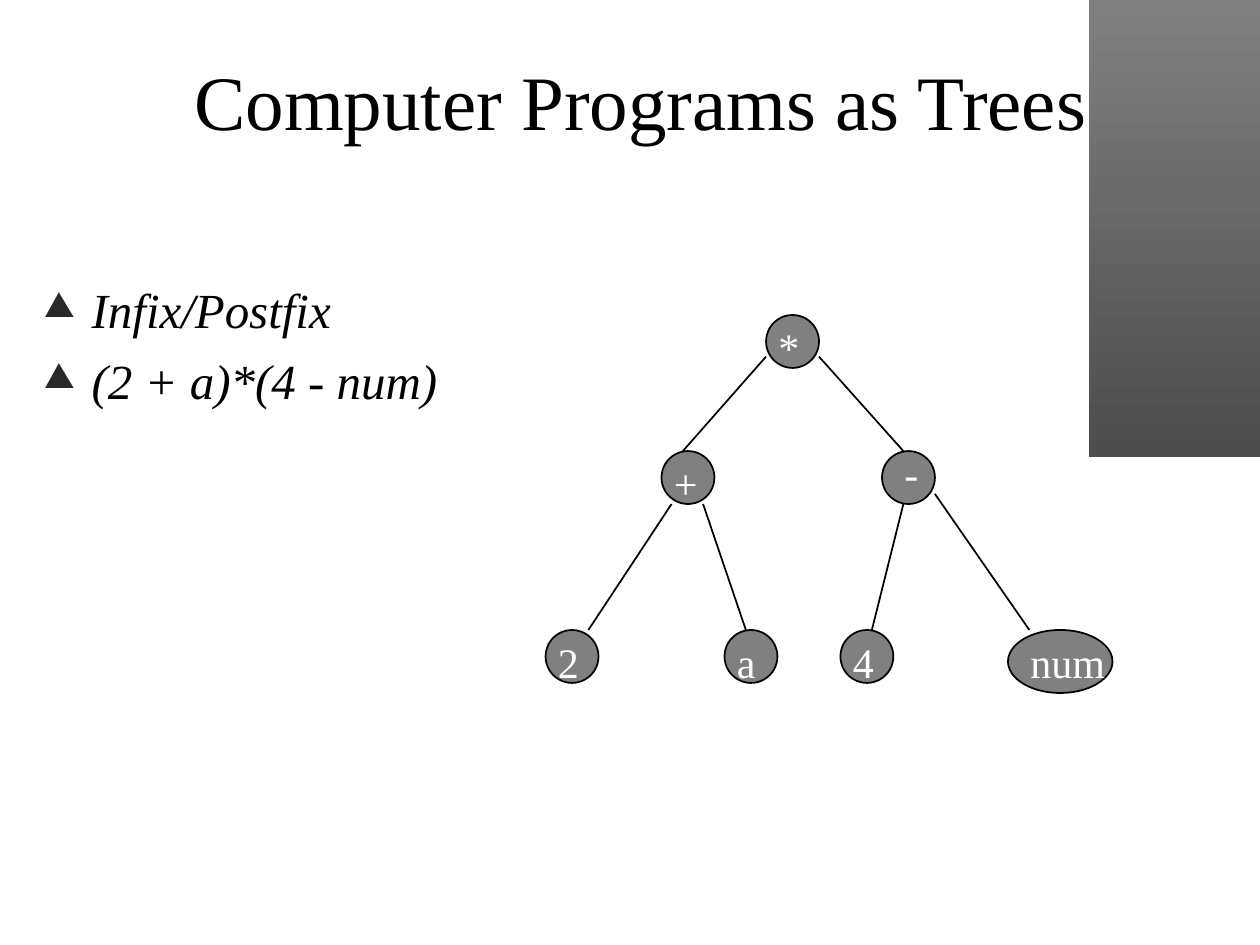
from pptx import Presentation
from pptx.dml.color import RGBColor
from pptx.enum.shapes import MSO_CONNECTOR, MSO_SHAPE
from pptx.enum.text import MSO_ANCHOR, PP_ALIGN
from pptx.oxml.ns import qn
from pptx.util import Inches, Pt
from lxml.etree import SubElement

TITLE = "Computer Programs as Trees"
NOTATIONS = ["Infix/Postfix", "(2 + a)*(4 - num)"]

ROOT, OPERATORS, LEAVES = 2.5, 3.58, 5
ROUND, WIDE = (0.42, 0.42), (0.83, 0.5)
LABEL = (0.75, 0.5)
NODES = [
    ("*", (6.08, ROOT), ROUND, (0, 0), LABEL),
    ("+", (5.25, OPERATORS), ROUND, (0, 0), LABEL),
    ("-", (7, OPERATORS), ROUND, (0.08, -0.08), LABEL),
    ("2", (4.33, LEAVES), ROUND, (0, 0), LABEL),
    ("a", (5.75, LEAVES), ROUND, (0, 0), LABEL),
    ("4", (6.67, LEAVES), ROUND, (0, 0), LABEL),
    ("num", (8, LEAVES), WIDE, (0.08, 0), (0.92, 0.5)),
]
BRANCHES = [
    ((6.08, 2.83), (5.42, OPERATORS)),
    ((6.5, 2.83), (7.17, OPERATORS)),
    ((5.33, 4), (4.67, LEAVES)),
    ((5.58, 4), (5.92, LEAVES)),
    ((7.17, 4), (6.92, LEAVES)),
    ((7.42, 3.92), (8.17, LEAVES)),
]

THEME = {
    "font": "Times New Roman",
    "ink": RGBColor(0, 0, 0),
    "node": RGBColor(0x80, 0x80, 0x80),
    "band_end": RGBColor(0x4D, 0x4D, 0x4D),
    "label": RGBColor(0xFF, 0xFF, 0xFF),
    "bullet": "292929",
    "bullet_scale": "70000",
    "title_size": 44,
    "body_size": 28,
    "label_size": 24,
    "line": 1,
}


def lengths(*values):
    return [Inches(value) for value in values]


def style(paragraph, size, color, italic=False):
    for run in paragraph.runs:
        run.font.name = THEME["font"]
        run.font.size = Pt(size)
        run.font.color.rgb = color
        run.font.italic = italic


def add_band(slide):
    band = slide.shapes.add_shape(MSO_SHAPE.RECTANGLE, *lengths(8.64, 0, 1.36, 3.63))
    band.shadow.inherit = False
    band.line.fill.background()
    band.fill.gradient()
    band.fill.gradient_angle = 270
    for stop, color in zip(band.fill.gradient_stops, (THEME["node"], THEME["band_end"])):
        stop.color.rgb = color
    slide.shapes._spTree.insert(2, band._element)


def add_title(slide):
    title = slide.shapes.title
    title.left, title.top, title.width, title.height = lengths(0.17, 0.17, 9.83, 1.25)
    title.text_frame.text = TITLE
    title.text_frame.vertical_anchor = MSO_ANCHOR.MIDDLE
    heading = title.text_frame.paragraphs[0]
    heading.alignment = PP_ALIGN.CENTER
    style(heading, THEME["title_size"], THEME["ink"])


def add_notations(slide):
    frame = slide.shapes.add_textbox(*lengths(0.25, 2.17, 3.96, 2)).text_frame
    frame.word_wrap = True
    frame.text = "\n".join(NOTATIONS)
    for notation in frame.paragraphs:
        notation.space_after = Pt(7)
        style(notation, THEME["body_size"], THEME["ink"], italic=True)
        properties = notation._p.get_or_add_pPr()
        properties.set("marL", str(Inches(0.38)))
        properties.set("indent", str(-Inches(0.38)))
        bullet_color = SubElement(properties, qn("a:buClr"))
        SubElement(bullet_color, qn("a:srgbClr"), val=THEME["bullet"])
        SubElement(properties, qn("a:buSzPct"), val=THEME["bullet_scale"])
        SubElement(properties, qn("a:buChar"), char="▲")


def add_branch(slide, start, end):
    branch = slide.shapes.add_connector(MSO_CONNECTOR.STRAIGHT, *lengths(*start, *end))
    branch.line.color.rgb = THEME["ink"]
    branch.line.width = Pt(THEME["line"])
    SubElement(branch._element.spPr, qn("a:effectLst"))


def add_node(slide, place, size):
    node = slide.shapes.add_shape(MSO_SHAPE.OVAL, *lengths(*place, *size))
    node.shadow.inherit = False
    node.fill.solid()
    node.fill.fore_color.rgb = THEME["node"]
    node.line.color.rgb = THEME["ink"]
    node.line.width = Pt(THEME["line"])


def add_label(slide, symbol, place, shift, size):
    left, top = (start + offset for start, offset in zip(place, shift))
    frame = slide.shapes.add_textbox(*lengths(left, top, *size)).text_frame
    frame.word_wrap = True
    frame.text = symbol
    style(frame.paragraphs[0], THEME["label_size"], THEME["label"])


def main():
    deck = Presentation()
    deck.slide_width, deck.slide_height = lengths(10, 7.5)
    slide = deck.slides.add_slide(deck.slide_layouts[5])
    add_band(slide)
    add_title(slide)
    add_notations(slide)
    for start, end in BRANCHES:
        add_branch(slide, start, end)
    for symbol, place, size, shift, label_size in NODES:
        add_node(slide, place, size)
        add_label(slide, symbol, place, shift, label_size)
    deck.save("out.pptx")


if __name__ == "__main__":
    main()
